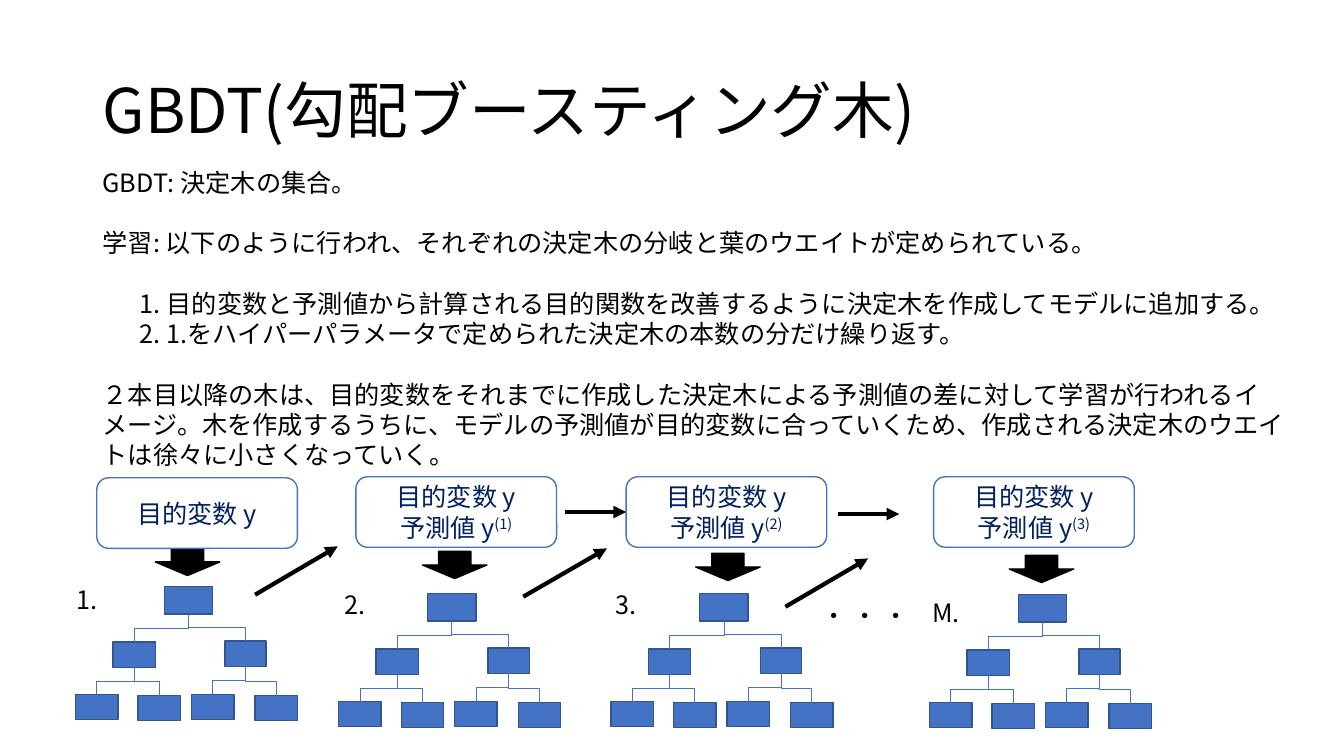
from dataclasses import dataclass

from lxml import etree
from pptx import Presentation
from pptx import util as u
from pptx.dml.color import RGBColor
from pptx.enum import shapes, text
from pptx.oxml import ns

PX = 9144  # 100 px to the inch
FACE = "Noto Sans CJK JP"
HEX = {"ink": "000000", "navy": "002060", "blue": "4472C4",
       "edge": "325491", "paper": "FFFFFF"}
AUTO = shapes.MSO_SHAPE
LINK = shapes.MSO_CONNECTOR


@dataclass
class Box:
    x: int
    y: int
    w: int
    h: int


@dataclass
class Node:
    box: Box
    up: int | None  # index of the parent node


@dataclass
class Step:
    name: str
    tag: Box
    card: Box
    lines: list[str]
    power: str
    drop: Box
    root: tuple[int, int]


@dataclass
class Line:
    text: str
    gap: float = 0
    dent: int = 0


NODES = [
    Node(Box(0, 0, 48, 27), None),
    Node(Box(60, 54, 41, 25), 0),
    Node(Box(-51, 55, 42, 25), 0),
    Node(Box(-88, 107, 42, 25), 2),
    Node(Box(-26, 108, 42, 25), 2),
    Node(Box(27, 107, 42, 25), 1),
    Node(Box(90, 108, 42, 25), 1),
]
GOAL, GUESS = "目的変数 y", "予測値 y"
STEPS = [
    Step("1.", Box(66, 575, 41, 40), Box(96, 474, 199, 70), [GOAL], "",
         Box(154, 544, 64, 27), (163, 582)),
    Step("2.", Box(332, 580, 41, 40), Box(353, 473, 199, 70), [GOAL, GUESS], "(1)",
         Box(419, 547, 64, 27), (424, 589)),
    Step("3.", Box(601, 580, 41, 40), Box(621, 473, 199, 70), [GOAL, GUESS], "(2)",
         Box(690, 549, 64, 27), (694, 589)),
    Step("M.", Box(915, 588, 50, 40), Box(926, 473, 199, 70), [GOAL, GUESS], "(3)",
         Box(1001, 551, 64, 27), (1010, 590)),
]
ROW = 21.6  # one line of body text, in points
BODY = [
    Line("GBDT: 決定木の集合。"),
    Line("学習: 以下のように行われ、それぞれの決定木の分岐と葉のウエイトが定められている。", ROW),
    Line("1. 目的変数と予測値から計算される目的関数を改善するように決定木を作成してモデルに追加する。",
         ROW, 37),
    Line("2. 1.をハイパーパラメータで定められた決定木の本数の分だけ繰り返す。", 0, 37),
    Line("２本目以降の木は、目的変数をそれまでに作成した決定木による予測値の差に対して学習が"
         "行われるイメージ。木を作成するうちに、モデルの予測値が目的変数に合っていくため、"
         "作成される決定木のウエイトは徐々に小さくなっていく。", ROW),
]
ARROWS = [(253, 590, 335, 542), (519, 592, 602, 544), (779, 602, 861, 554),
          (560, 508, 621, 508), (831, 510, 892, 510)]


def tint(name: str) -> RGBColor:
    return RGBColor.from_string(HEX[name])


def span(box: Box) -> list[u.Emu]:
    return [u.Emu(n * PX) for n in (box.x, box.y, box.w, box.h)]


def assign(item, form: dict) -> None:
    for key, val in form.items():
        setattr(item, key, val)


def write(para, words: str, size: int = 18, color: str = "ink"):
    run = para.add_run()
    run.text = words
    assign(run.font, {"size": u.Pt(size), "name": FACE})
    run.font.color.rgb = tint(color)
    mark = run.font._element
    etree.SubElement(mark, ns.qn("a:ea")).set("typeface", FACE)
    return mark


def label(slide, box: Box, lines: list[Line], wrap: bool) -> None:
    frame = slide.shapes.add_textbox(*span(box)).text_frame
    frame.word_wrap = wrap
    for i, line in enumerate(lines):
        para = frame.add_paragraph() if i else frame.paragraphs[0]
        if line.gap:
            para.space_before = u.Pt(line.gap)
        if line.dent:
            para._p.get_or_add_pPr().set("marL", str(line.dent * PX))
        write(para, line.text)


def block(home, kind, box: Box, fill: str, edge: str):
    item = home.shapes.add_shape(kind, *span(box))
    item.shadow.inherit = False
    item.fill.solid()
    item.fill.fore_color.rgb = tint(fill)
    item.line.color.rgb = tint(edge)
    item.line.width = u.Pt(1)
    return item


def ink(wire, color: str, width: float) -> None:
    wire.line.color.rgb = tint(color)
    wire.line.width = u.Pt(width)
    etree.SubElement(wire._element.spPr, ns.qn("a:effectLst"))


def branch(home, top, low) -> None:
    """Join two nodes with an elbow that leaves downwards."""
    wire = home.shapes.add_connector(LINK.ELBOW, 0, 0, 0, 0)
    wire.begin_connect(top, 2)
    wire.end_connect(low, 0)
    wide, tall = wire.width, wire.height
    right = wire.end_x > wire.begin_x
    midx, midy = wire.left + wide // 2, wire.top + tall // 2
    assign(wire._element.spPr.xfrm, {"flipH": right, "flipV": False})
    assign(wire, {"left": u.Emu(midx - tall // 2), "top": u.Emu(midy - wide // 2),
                  "width": tall, "height": wide, "rotation": 270 if right else 90})
    ink(wire, "blue", 0.5)


def tree(slide, root: tuple[int, int]) -> None:
    group = slide.shapes.add_group_shape()
    done = []
    for node in NODES:
        box = node.box
        spot = Box(root[0] + box.x, root[1] + box.y, box.w, box.h)
        done.append(block(group, AUTO.RECTANGLE, spot, "blue", "edge"))
    for node, item in zip(NODES, done):
        if node.up is not None:
            branch(group, done[node.up], item)


def card(slide, step: Step):
    item = block(slide, AUTO.ROUNDED_RECTANGLE, step.card, "paper", "blue")
    frame = item.text_frame
    frame.vertical_anchor = text.MSO_ANCHOR.MIDDLE
    for i, words in enumerate(step.lines):
        para = frame.add_paragraph() if i else frame.paragraphs[0]
        para.alignment = text.PP_ALIGN.CENTER
        write(para, words, color="navy")
    if step.power:
        write(para, step.power, color="navy").set("baseline", "30000")
    return item


def arrow(slide, ends: tuple[int, int, int, int]):
    wire = slide.shapes.add_connector(LINK.STRAIGHT, *[u.Emu(n * PX) for n in ends])
    ink(wire, "ink", 3)
    etree.SubElement(wire.line._get_or_add_ln(), ns.qn("a:tailEnd")).set("type", "triangle")
    return wire


def main() -> None:
    deck = Presentation()
    assign(deck, {"slide_width": u.Emu(1333 * PX), "slide_height": u.Emu(750 * PX)})
    slide = deck.slides.add_slide(deck.slide_layouts[5])
    title = slide.shapes.title
    assign(title, dict(zip(("left", "top", "width", "height"), span(Box(92, 40, 1150, 145)))))
    assign(title.text_frame, {"vertical_anchor": text.MSO_ANCHOR.MIDDLE, "word_wrap": True,
                              "auto_size": text.MSO_AUTO_SIZE.NONE})
    head = title.text_frame.paragraphs[0]
    assign(head, {"alignment": text.PP_ALIGN.LEFT, "line_spacing": 0.9})
    write(head, "GBDT(勾配ブースティング木)", 44)
    label(slide, Box(92, 161, 1213, 313), BODY, True)
    for step in STEPS:
        tree(slide, step.root)
        label(slide, step.tag, [Line(step.name)], False)
        block(slide, AUTO.DOWN_ARROW, step.drop, "ink", "ink")
    cards = [card(slide, step) for step in STEPS]
    wires = [arrow(slide, ends) for ends in ARROWS]
    wires[3].end_connect(cards[2], 1)
    label(slide, Box(805, 591, 110, 40), [Line("・ ・ ・")], False)
    deck.save("out.pptx")


if __name__ == "__main__":
    main()
